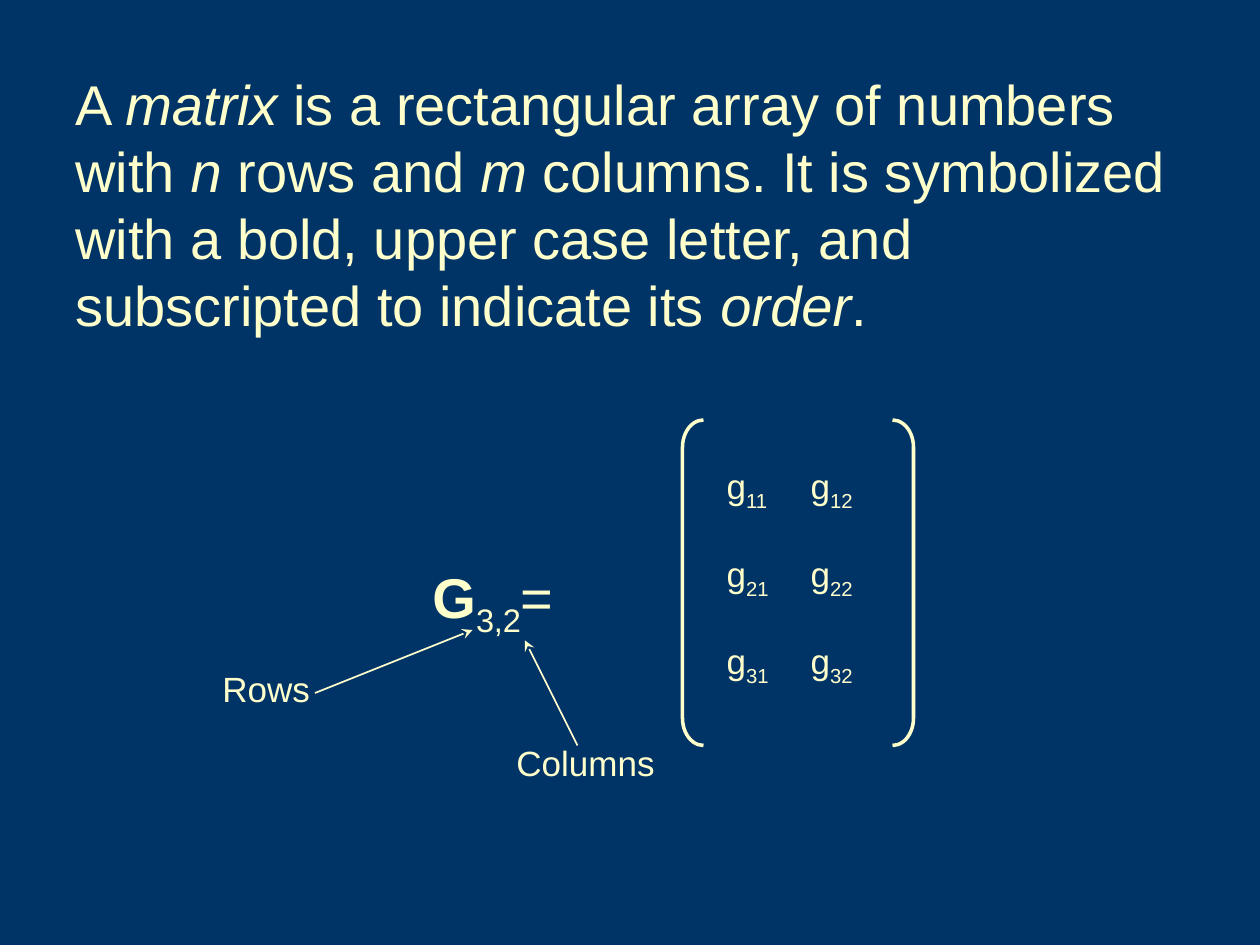
from dataclasses import dataclass

from lxml import etree
from pptx import Presentation
from pptx.dml.color import RGBColor
from pptx.enum import shapes, text
from pptx.oxml.ns import qn
from pptx.util import Pt

NAVY = RGBColor(0x00, 0x33, 0x66)
CREAM = RGBColor(0xFF, 0xFF, 0xCC)
NO_STYLE = "{2D5ABB26-0587-4C30-8999-92F81FD0307C}"
ROWS, COLS = 3, 2
CELL_W, CELL_H = 48, 50


@dataclass
class Run:
    text: str
    bold: bool = False
    italic: bool = False
    subscript: bool = False


@dataclass
class Label:
    left: float
    top: float
    width: float
    height: float
    size: float
    runs: list[Run]


@dataclass
class Arrow:
    start: tuple[float, float]
    end: tuple[float, float]


@dataclass
class Bracket:
    kind: shapes.MSO_SHAPE
    left: float


LABELS = [
    Label(36, 36, 642, 161, 32, [
        Run("A "), Run("matrix", italic=True),
        Run(" is a rectangular array of numbers with "),
        Run("n", italic=True), Run(" rows and "), Run("m", italic=True),
        Run(" columns. It is symbolized with a bold, upper case letter, "
            "and subscripted to indicate its "),
        Run("order", italic=True), Run("."),
    ]),
    Label(240, 318, 126, 51, 32, [
        Run("G", bold=True), Run(f"{ROWS},{COLS}", subscript=True), Run("="),
    ]),
    Label(120, 378, 66, 32, 20, [Run("Rows")]),
    Label(288, 420, 96, 32, 20, [Run("Columns")]),
]
ARROWS = [Arrow((180, 396), (270, 360)), Arrow((330, 426), (300, 366))]
BRACKETS = [
    Bracket(shapes.MSO_SHAPE.LEFT_BRACKET, 390),
    Bracket(shapes.MSO_SHAPE.RIGHT_BRACKET, 510),
]


def write_runs(p, runs: list[Run], size: float) -> None:
    for run in runs:
        r = p.add_run()
        r.text = run.text
        formats = {"name": "Arial", "size": Pt(size),
                   "bold": run.bold, "italic": run.italic}
        for name, value in formats.items():
            setattr(r.font, name, value)
        r.font.color.rgb = CREAM
        if run.subscript:
            r._r.get_or_add_rPr().set("baseline", "-25000")


def add_label(s, label: Label) -> None:
    box = s.shapes.add_textbox(Pt(label.left), Pt(label.top),
                               Pt(label.width), Pt(label.height))
    tf = box.text_frame
    tf.word_wrap = True
    tf.auto_size = text.MSO_AUTO_SIZE.SHAPE_TO_FIT_TEXT
    write_runs(tf.paragraphs[0], label.runs, label.size)


def add_matrix(s, left: float, top: float) -> None:
    """Lay out the elements g11 to g32 in an unstyled table."""
    table = s.shapes.add_table(ROWS, COLS, Pt(left), Pt(top),
                               Pt(COLS * CELL_W), Pt(ROWS * CELL_H)).table
    table.first_row = table.horz_banding = False
    table._tbl.tblPr.find(qn("a:tableStyleId")).text = NO_STYLE
    for i in range(ROWS):
        for j in range(COLS):
            cell = table.cell(i, j)
            cell.fill.background()
            element = [Run("g"), Run(f"{i + 1}{j + 1}", subscript=True)]
            write_runs(cell.text_frame.paragraphs[0], element, 20)


def add_bracket(s, bracket: Bracket) -> None:
    sp = s.shapes.add_shape(bracket.kind, Pt(bracket.left), Pt(240),
                            Pt(12), Pt(186))
    sp.adjustments[0] = 1.3
    sp.shadow.inherit = False
    sp.fill.background()
    sp.line.color.rgb = CREAM
    sp.line.width = Pt(2)


def add_arrow(s, arrow: Arrow) -> None:
    line = s.shapes.add_connector(shapes.MSO_CONNECTOR.STRAIGHT,
                                  *map(Pt, arrow.start + arrow.end))
    line.line.color.rgb = CREAM
    line.line.width = Pt(1)
    etree.SubElement(line.line._get_or_add_ln(), qn("a:tailEnd"), type="stealth")
    etree.SubElement(line._element.spPr, qn("a:effectLst"))


def main() -> None:
    prs = Presentation()
    prs.slide_width, prs.slide_height = Pt(720), Pt(540)
    s = prs.slides.add_slide(prs.slide_layouts[6])
    s.background.fill.solid()
    s.background.fill.fore_color.rgb = NAVY
    add_matrix(s, 408, 264)
    for bracket in BRACKETS:
        add_bracket(s, bracket)
    for label in LABELS:
        add_label(s, label)
    for arrow in ARROWS:
        add_arrow(s, arrow)
    prs.save("out.pptx")


if __name__ == "__main__":
    main()
